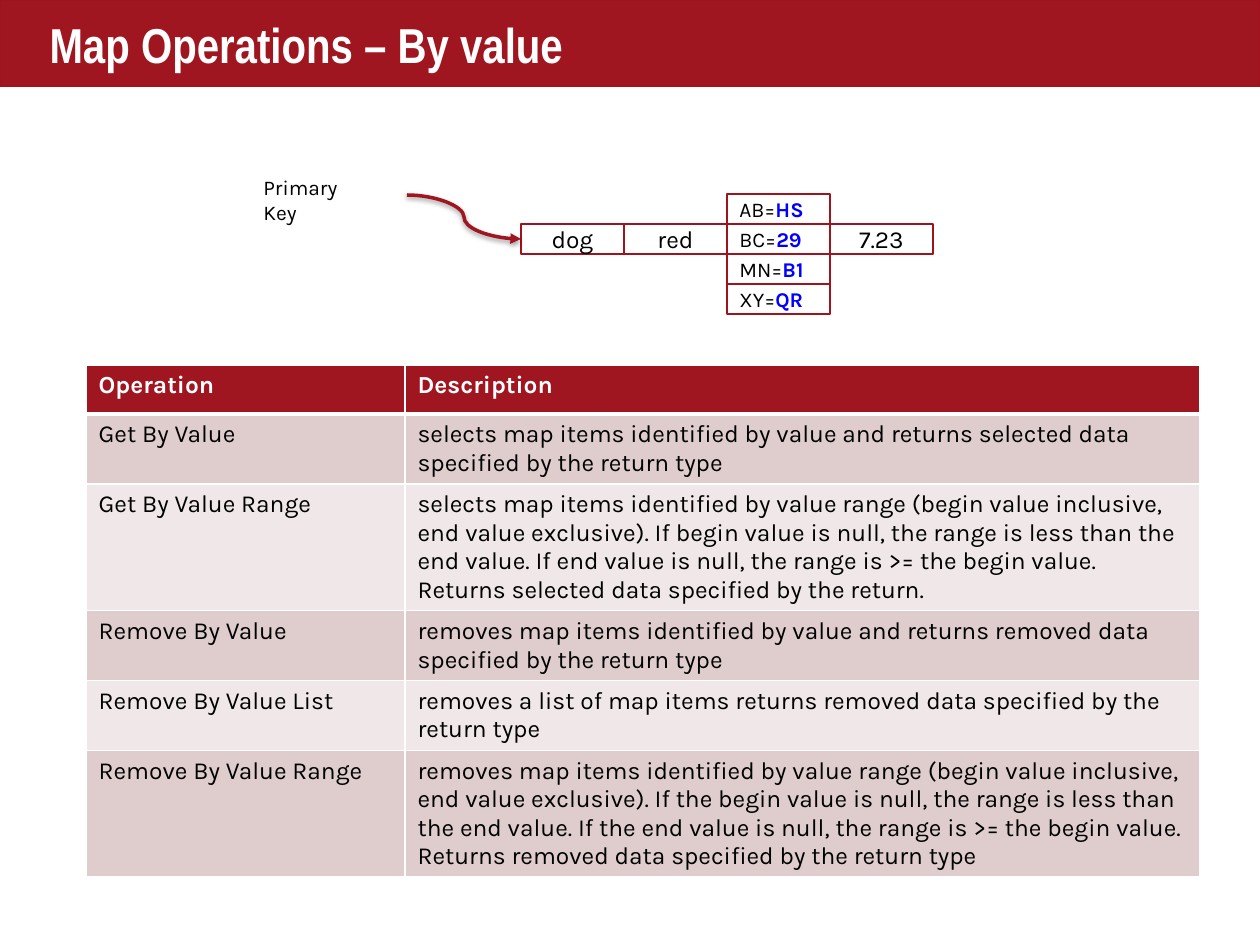
"""Build the slide on map operations by value."""
from lxml import etree
from pptx import Presentation
from pptx.dml.color import RGBColor
from pptx.enum.shapes import MSO_CONNECTOR, MSO_SHAPE
from pptx.enum.text import MSO_ANCHOR, MSO_AUTO_SIZE, PP_ALIGN
from pptx.oxml import parse_xml
from pptx.oxml.ns import nsdecls, qn
from pptx.util import Emu, Pt

RECT = MSO_SHAPE.RECTANGLE
CURVE = MSO_CONNECTOR.CURVE
MIDDLE = MSO_ANCHOR.MIDDLE
LEFT, CENTER = PP_ALIGN.LEFT, PP_ALIGN.CENTER
FIT, FIXED = MSO_AUTO_SIZE.SHAPE_TO_FIT_TEXT, MSO_AUTO_SIZE.NONE
SCALE = 914400 / 126
FONT = "Karla"
HEX = {"red": "A01620", "edge": "A0121C", "white": "FFFFFF", "black": "000000",
       "blue": "0000FF", "dark": "DFCCCD", "light": "F0E8E8"}
PAIRS = [("AB=", "HS"), ("BC=", "29"), ("MN=", "B1"), ("XY=", "QR")]
ROWS = [
    ("Operation", "Description"),
    ("Get By Value",
     "selects map items identified by value and returns selected data "
     "specified by the return type"),
    ("Get By Value Range",
     "selects map items identified by value range (begin value inclusive, "
     "end value exclusive). If begin value is null, the range is less than "
     "the end value. If end value is null, the range is >= the begin value. "
     "Returns selected data specified by the return."),
    ("Remove By Value",
     "removes map items identified by value and returns removed data "
     "specified by the return type"),
    ("Remove By Value List",
     "removes a list of map items returns removed data specified by the "
     "return type"),
    ("Remove By Value Range",
     "removes map items identified by value range (begin value inclusive, "
     "end value exclusive). If the begin value is null, the range is less "
     "than the end value. If the end value is null, the range is >= the "
     "begin value. Returns removed data specified by the return type"),
]


def px(*nums):
    """Turn pixels into a list of EMU lengths."""
    return [Emu(round(num * SCALE)) for num in nums]


def tint(name):
    """Return the named colour."""
    return RGBColor.from_string(HEX[name])


def paint(item, name):
    """Fill an item with a plain colour."""
    item.fill.solid()
    item.fill.fore_color.rgb = tint(name)


def add_run(para, text, size, color="black", bold=False, face=FONT):
    """Append one run of styled text."""
    run = para.add_run()
    run.text = text
    run.font.name, run.font.size, run.font.bold = face, Pt(size), bold
    run.font.color.rgb = tint(color)


def add_rect(shapes, *box):
    """Add an outlined box without fill or shadow."""
    rect = shapes.add_shape(RECT, *px(*box))
    rect.shadow.inherit = False
    rect.fill.background()
    rect.line.color.rgb = tint("edge")
    rect.line.width = Pt(0.75)
    return rect


def add_title(slide, text):
    """Draw the header bar and set the title over it."""
    bar = add_rect(slide.shapes, 0, 0, 1260, 86)
    paint(bar, "red")
    slide.shapes._spTree.insert(2, bar._element)
    title = slide.shapes.title
    title.left, title.top, title.width, title.height = px(37, 4, 1163, 79)
    paint(title, "red")
    frame = title.text_frame
    frame.vertical_anchor, frame.auto_size = MIDDLE, FIXED
    para = frame.paragraphs[0]
    para.alignment = LEFT
    add_run(para, text, 28, "white", True, "Arial Narrow")


def add_bin(shapes, col, row, align):
    """Add one box of the record grid and return its paragraph."""
    rect = add_rect(shapes, 521 + 103 * col, 194 + 30 * row, 103, 30)
    rect.text_frame.vertical_anchor = MIDDLE
    para = rect.text_frame.paragraphs[0]
    para.alignment = align
    return para


def add_arrow(shapes, *ends):
    """Add a curved arrow with a soft shadow."""
    arrow = shapes.add_connector(CURVE, *px(*ends))
    arrow.line.color.rgb = tint("red")
    arrow.line.width = Pt(2)
    etree.SubElement(arrow.line._get_or_add_ln(), qn("a:tailEnd"), type="triangle")
    arrow._element.spPr.append(parse_xml(
        f'<a:effectLst {nsdecls("a")}><a:outerShdw blurRad="{Pt(3.1)}" '
        f'dist="{Pt(1.6)}" dir="5400000" rotWithShape="0"><a:srgbClr '
        f'val="{HEX["black"]}"><a:alpha val="38000"/></a:srgbClr>'
        '</a:outerShdw></a:effectLst>'))


def add_label(shapes, text, *box):
    """Add a one-line text label."""
    frame = shapes.add_textbox(*px(*box)).text_frame
    frame.word_wrap, frame.auto_size = False, FIT
    add_run(frame.paragraphs[0], text, 12)


def add_record(slide):
    """Draw the record with its key and map column."""
    shapes = slide.shapes.add_group_shape().shapes
    for col, text in ((0, "dog"), (1, "red"), (3, "7.23")):
        add_run(add_bin(shapes, col, 1, CENTER), text, 14)
    for row, (key, value) in enumerate(PAIRS):
        para = add_bin(shapes, 2, row, LEFT)
        add_run(para, key, 12)
        add_run(para, value, 12, "blue", True)
    add_arrow(shapes, 407, 195, 521, 239)
    add_label(shapes, "Primary Key", 251, 168, 137, 38)


def set_edge(cell, side, width):
    """Draw one white border of a cell."""
    props = cell._tc.get_or_add_tcPr()
    edge = etree.SubElement(props, qn(f"a:ln{side}"), w=str(Pt(width)))
    fill = etree.SubElement(edge, qn("a:solidFill"))
    etree.SubElement(fill, qn("a:srgbClr"), val=HEX["white"])


def add_grid(slide):
    """Add the table of operations."""
    frame = slide.shapes.add_table(len(ROWS), 2, *px(86, 365, 1114, 344))
    table = frame.table
    table.horz_banding = False
    for col, width in zip(table.columns, px(319, 795)):
        col.width = width
    for row, texts in enumerate(ROWS):
        head = row == 0
        table.rows[row].height = px(49 if head else 59)[0]
        for col, text in enumerate(texts):
            cell = table.cell(row, col)
            for side in "LRTB":
                thick = (head and side == "B") or (row == 1 and side == "T")
                set_edge(cell, side, 3 if thick else 1)
            paint(cell, "red" if head else "dark" if row % 2 else "light")
            add_run(cell.text_frame.paragraphs[0], text, 14,
                    "white" if head else "black", head)


def main():
    """Build and save the slide."""
    deck = Presentation()
    deck.slide_width, deck.slide_height = px(1260, 945)
    slide = deck.slides.add_slide(deck.slide_layouts[5])
    add_title(slide, "Map Operations – By value")
    add_grid(slide)
    add_record(slide)
    deck.save("out.pptx")


if __name__ == "__main__":
    main()
